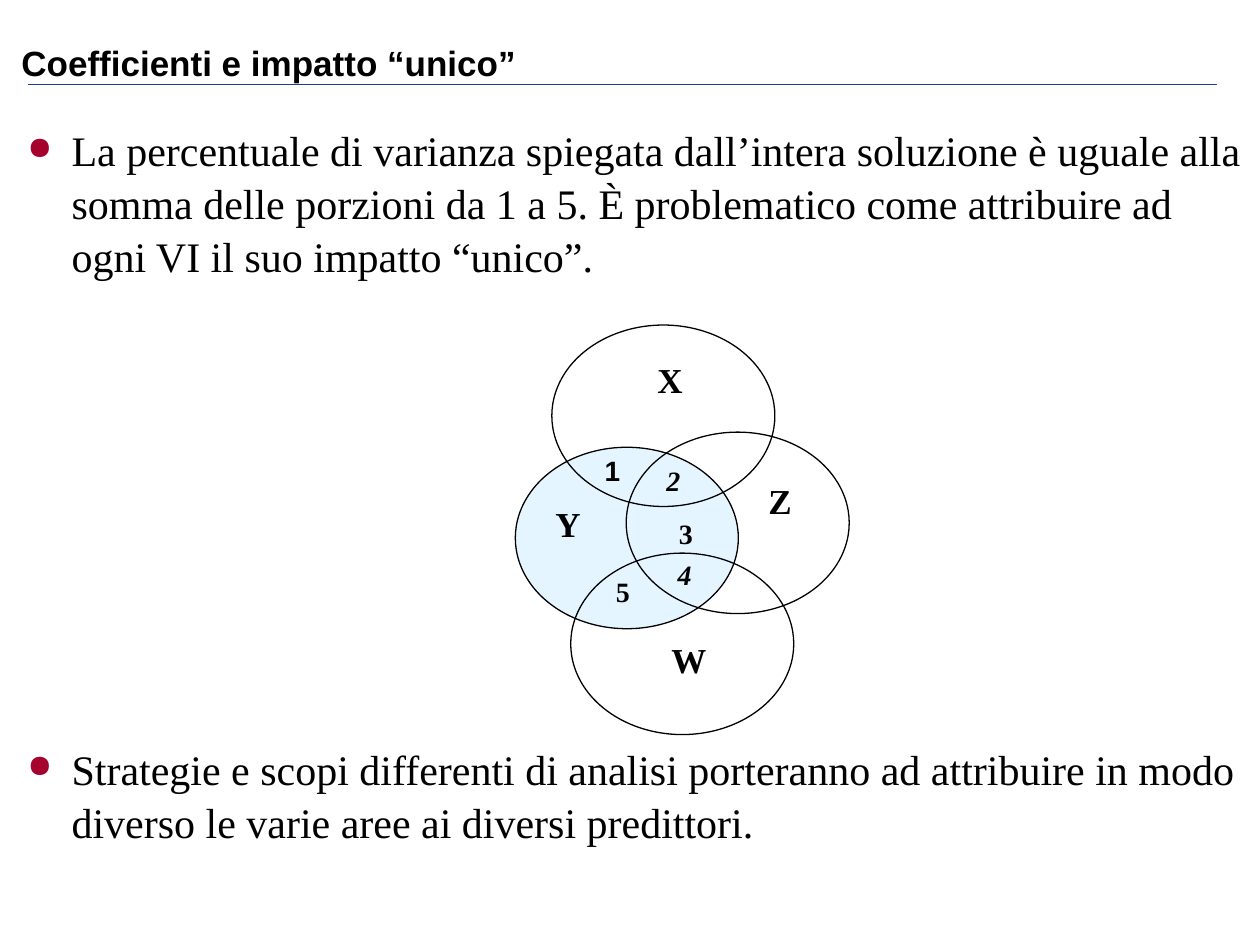
from lxml import etree
from pptx import Presentation
from pptx.dml.color import RGBColor
from pptx.enum import shapes, text
from pptx.oxml.ns import qn
from pptx.util import Inches, Pt

BLACK = RGBColor(0x00, 0x00, 0x00)
NAVY = RGBColor(0x1E, 0x3F, 0x82)
CRIMSON = RGBColor(0xA5, 0x03, 0x2D)
PALE_BLUE = RGBColor(0xCC, 0xEC, 0xFF)
SANS, SERIF = "Arial", "Times New Roman"

TITLE = "Coefficienti e impatto “unico”"
# top of the box, height, wording
BULLETS = [
    (0.92, 1.4, "La percentuale di varianza spiegata dall’intera soluzione è uguale alla "
                "somma delle porzioni da 1 a 5. È problematico come attribuire ad ogni VI "
                "il suo impatto “unico”."),
    (5.83, 1.0, "Strategie e scopi differenti di analisi porteranno ad attribuire in modo "
                "diverso le varie aree ai diversi predittori."),
]
# left, top, filled: Y, Z, X, W
ELLIPSE_SIZE = (1.77, 1.44)
ELLIPSES = [(4.09, 3.55, True), (4.97, 3.43, False), (4.38, 2.58, False), (4.53, 4.39, False)]
# wording, left, top, width
VARIABLES = [("Y", 4.31, 3.94, 0.4), ("X", 5.12, 2.8, 0.4),
             ("Z", 6, 3.76, 0.38), ("W", 5.23, 5.02, 0.48)]
# wording, left, top, width, font, italic
PORTIONS = [("1", 4.7, 3.55, 0.55, SANS, False), ("2", 5.19, 3.63, 0.31, SERIF, True),
            ("3", 5.29, 4.05, 0.31, SERIF, False), ("4", 5.28, 4.38, 0.31, SERIF, True),
            ("5", 4.79, 4.51, 0.31, SERIF, False)]

presentation = Presentation()
presentation.slide_width, presentation.slide_height = Inches(10), Inches(7.5)
slide = presentation.slides.add_slide(presentation.slide_layouts[6])


def add_text(wording, left, top, width, height, size, font=SERIF, bold=True, italic=False,
             wrap=True):
    box = slide.shapes.add_textbox(Inches(left), Inches(top), Inches(width), Inches(height))
    box.text_frame.word_wrap = wrap
    run = box.text_frame.paragraphs[0].add_run()
    run.text = wording
    run.font.name, run.font.size = font, Pt(size)
    run.font.bold, run.font.italic = bold, italic
    run.font.color.rgb = BLACK
    return box.text_frame


def add_bullet(paragraph):
    properties = paragraph._p.get_or_add_pPr()
    properties.set("marL", str(Inches(0.47)))
    properties.set("indent", str(-Inches(0.35)))
    color = etree.SubElement(properties, qn("a:buClr"))
    etree.SubElement(color, qn("a:srgbClr"), val=str(CRIMSON))
    etree.SubElement(properties, qn("a:buSzPct"), val="75000")
    etree.SubElement(properties, qn("a:buChar"), char="●")
    paragraph.line_spacing = 1.05


# Rule and title
rule = slide.shapes.add_connector(shapes.MSO_CONNECTOR.STRAIGHT, Inches(0.22), Inches(0.67),
                                  Inches(9.66), Inches(0.67))
rule.line.color.rgb, rule.line.width = NAVY, Pt(1)
etree.SubElement(rule._element.spPr, qn("a:effectLst"))

title = add_text(TITLE, 0.17, -0.17, 9.33, 0.83, 20, SANS)
title.margin_left = title.margin_top = title.margin_right = title.margin_bottom = 0
title.vertical_anchor = text.MSO_ANCHOR.BOTTOM

# Bullets above and below the diagram
for top, height, wording in BULLETS:
    frame = add_text(wording, 0, top, 10, height, 24, bold=False)
    add_bullet(frame.paragraphs[0])

# Overlapping ellipses
for left, top, filled in ELLIPSES:
    ellipse = slide.shapes.add_shape(shapes.MSO_SHAPE.OVAL, Inches(left), Inches(top),
                                     *map(Inches, ELLIPSE_SIZE))
    ellipse.shadow.inherit = False
    ellipse.line.color.rgb, ellipse.line.width = BLACK, Pt(0.75)
    if filled:
        ellipse.fill.solid()
        ellipse.fill.fore_color.rgb = PALE_BLUE
        color = ellipse._element.spPr.find(qn("a:solidFill")).find(qn("a:srgbClr"))
        etree.SubElement(color, qn("a:alpha"), val="50000")
    else:
        ellipse.fill.background()

# Labels of the variables and of the shared portions
for wording, left, top, width in VARIABLES:
    add_text(wording, left, top, width, 0.44, 20, wrap=False)
for wording, left, top, width, font, italic in PORTIONS:
    add_text(wording, left, top, width, 0.37, 16, font, italic=italic, wrap=font == SANS)

presentation.save("out.pptx")
